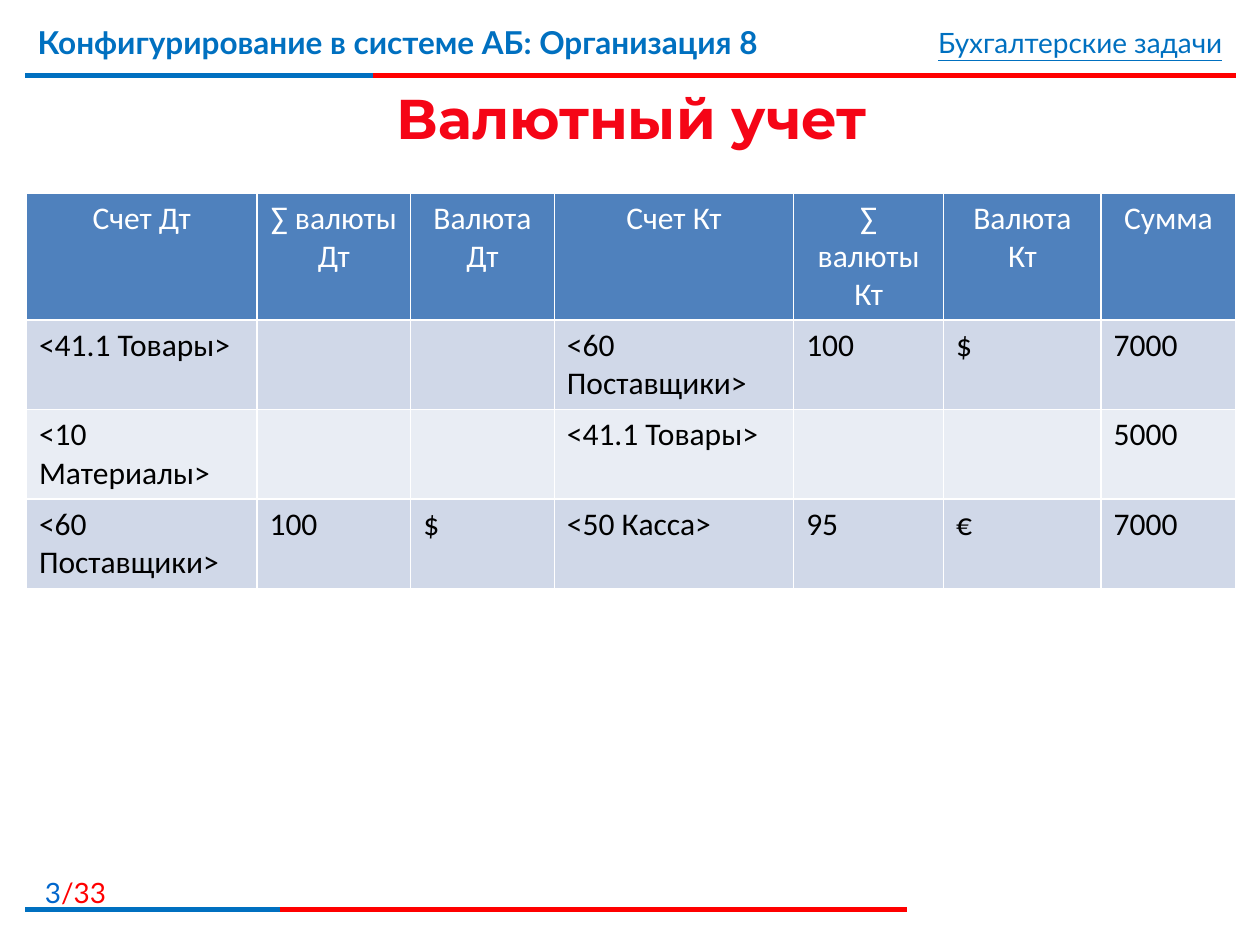
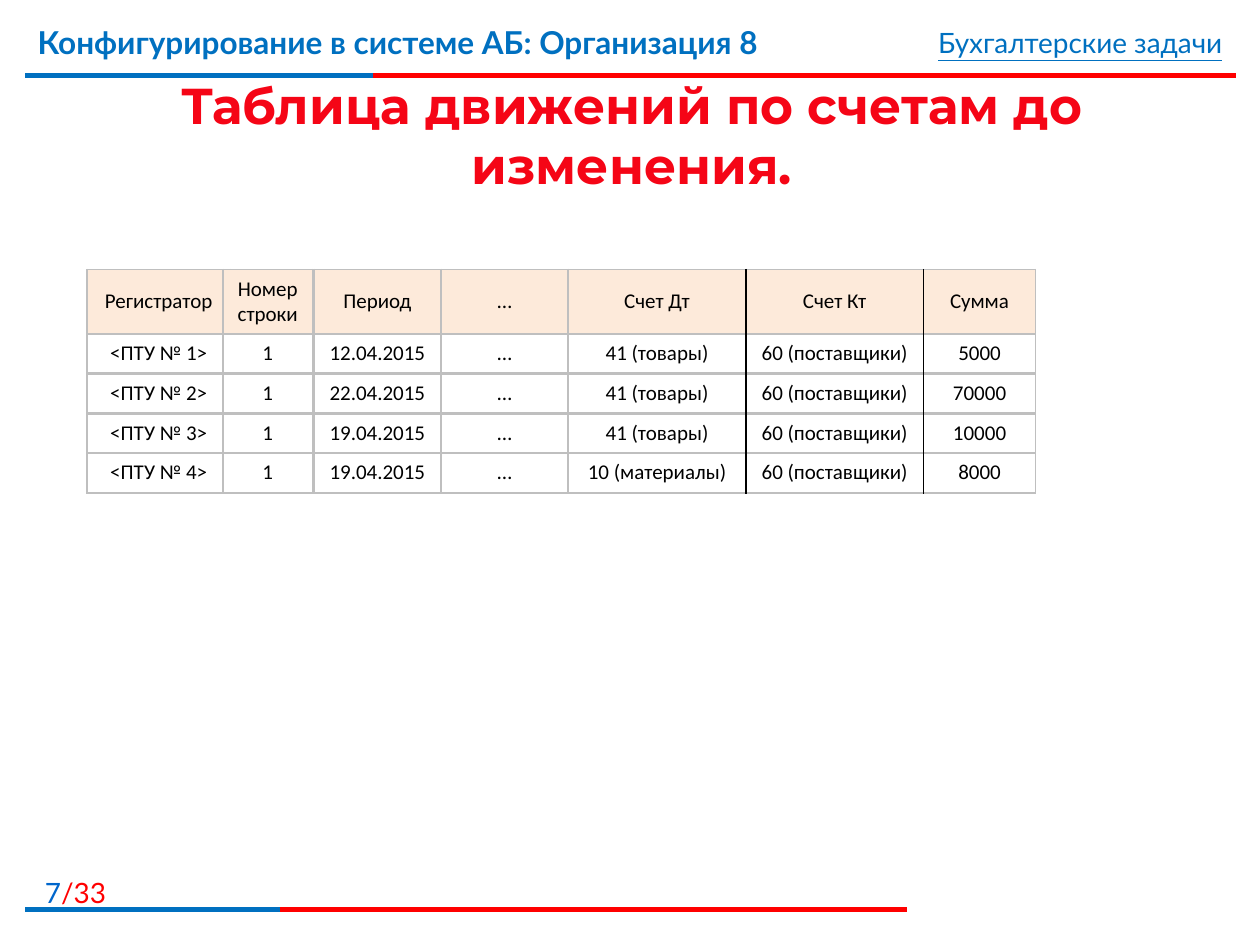
from lxml import etree
from pptx import Presentation
from pptx.dml.color import RGBColor
from pptx.enum import shapes, text
from pptx.oxml import ns
from pptx.util import Inches, Pt

BLUE = RGBColor(0x00, 0x70, 0xC0)
NUMBER_BLUE = RGBColor(0x00, 0x66, 0xCC)
RED = RGBColor(0xFF, 0x00, 0x00)
TITLE_RED = RGBColor(0xF5, 0x05, 0x16)
TITLE_DARK_RED = RGBColor(0xC0, 0x00, 0x00)
WHITE = RGBColor(0xFF, 0xFF, 0xFF)
BLACK = RGBColor(0x00, 0x00, 0x00)
GRAY = RGBColor(0xBF, 0xBF, 0xBF)
HEADER_BLUE = RGBColor(0x4F, 0x81, 0xBD)
BAND_DARK = RGBColor(0xD0, 0xD8, 0xE8)
BAND_LIGHT = RGBColor(0xE9, 0xED, 0xF4)
HEADER_PEACH = RGBColor(0xFD, 0xEA, 0xDA)

CENTER, LEFT, RIGHT = text.PP_ALIGN.CENTER, text.PP_ALIGN.LEFT, text.PP_ALIGN.RIGHT
MIDDLE, TOP = text.MSO_ANCHOR.MIDDLE, text.MSO_ANCHOR.TOP
COURSE = "Конфигурирование в системе АБ: Организация 8"
TOPIC = "Бухгалтерские задачи"
PAGE_COUNT = 33

CURRENCY_COLUMNS = [1.83, 1.22, 1.14, 1.9, 1.19, 1.25, 1.07]
CURRENCY_HEADER = ["Счет Дт", "∑ валюты Дт", "Валюта Дт", "Счет Кт",
                   "∑ валюты Кт", "Валюта Кт", "Сумма"]
CURRENCY_ENTRIES = [
    ["<41.1 Товары>", "", "", "<60 Поставщики>", "100", "$", "7000"],
    ["<10 Материалы>", "", "", "<41.1 Товары>", "", "", "5000"],
    ["<60 Поставщики>", "100", "$", "<50 Касса>", "95", "€", "7000"],
]

MOVEMENT_STRIPS = [(0, [1.14]), (1.08, [0.71]), (1.8, [1.01]), (2.81, [1.01]),
                   (3.82, [1.41, 1.41, 0.89])]
MOVEMENT_HEADER = ["Регистратор", "Номер строки", "Период", "…",
                   "Счет Дт", "Счет Кт", "Сумма"]
MOVEMENTS = [
    ("12.04.2015", "41 (товары)", "5000"),
    ("22.04.2015", "41 (товары)", "70000"),
    ("19.04.2015", "41 (товары)", "10000"),
    ("19.04.2015", "10 (материалы)", "8000"),
]


def add_run(paragraph, content, size, font, color, bold=False, underline=False):
    run = paragraph.add_run()
    run.text = content
    run.font.size = Pt(size)
    run.font.name = font
    run.font.color.rgb = color
    run.font.bold = bold
    run.font.underline = underline


def add_text_box(slide, box, align=LEFT):
    shape = slide.shapes.add_textbox(*map(Inches, box))
    shape.text_frame.word_wrap = True
    paragraph = shape.text_frame.paragraphs[0]
    paragraph.alignment = align
    return paragraph


def add_two_color_rule(slide, left, top, width, blue_width):
    for length, color in ((width, RED), (blue_width, BLUE)):
        line = slide.shapes.add_connector(
            shapes.MSO_CONNECTOR.STRAIGHT,
            *map(Inches, (left, top, left + length, top)))
        line.line.color.rgb = color
        line.line.width = Pt(3)
        etree.SubElement(line._element.spPr, ns.qn("a:effectLst"))


def add_header(slide):
    add_two_color_rule(slide, 0.2, 0.6, 9.61, 2.76)
    course = add_text_box(slide, (0.2, 0.13, 7.4, 0.62))
    add_run(course, COURSE, 18, "Lato", BLUE, bold=True)
    topic = add_text_box(slide, (5.94, 0.15, 3.86, 0.37), RIGHT)
    add_run(topic, TOPIC, 16, "Lato", BLUE, underline=True)


def add_footer(slide, page):
    number = add_text_box(slide, (0, 6.9, 0.94, 0.32), RIGHT)
    add_run(number, str(page), 16, "Lato", NUMBER_BLUE)
    add_run(number, f"/{PAGE_COUNT}", 16, "Lato", RED)
    add_two_color_rule(slide, 0.2, 7.22, 7, 2.02)


def set_title(slide, content, height, size):
    title = slide.shapes.title
    title.left, title.top, title.width, title.height = map(
        Inches, (0.21, 0.63, 9.61, height))
    frame = title.text_frame
    frame.word_wrap = True
    frame.auto_size = text.MSO_AUTO_SIZE.NONE
    frame.vertical_anchor = MIDDLE
    paragraph = frame.paragraphs[0]
    paragraph.alignment = CENTER
    add_run(paragraph, content, size, "Montserrat", TITLE_RED, bold=True)
    fill = paragraph.runs[0].font.fill
    fill.gradient()
    fill.gradient_angle = 270
    stops = ((0.55, TITLE_RED), (0.86, TITLE_DARK_RED))
    for stop, (position, color) in zip(fill.gradient_stops, stops):
        stop.position = position
        stop.color.rgb = color


def set_borders(cell, colors):
    properties = cell._tc.get_or_add_tcPr()
    for side, color in zip("LRTB", colors):
        border = etree.SubElement(properties, ns.qn(f"a:ln{side}"), w=str(Pt(1)))
        fill = etree.SubElement(border, ns.qn("a:solidFill"))
        etree.SubElement(fill, ns.qn("a:srgbClr"), val=str(color))


def add_plain_table(slide, left, top, columns, rows):
    frame = slide.shapes.add_table(
        len(rows), len(columns),
        *map(Inches, (left, top, sum(columns), sum(rows))))
    table = frame.table
    table.first_row = table.horz_banding = False
    for column, width in zip(table.columns, columns):
        column.width = Inches(width)
    for row, height in zip(table.rows, rows):
        row.height = Inches(height)
    return table


def fill_cell(cell, content, size, color, background, borders, align, anchor=TOP):
    set_borders(cell, borders)
    cell.fill.solid()
    cell.fill.fore_color.rgb = background
    cell.vertical_anchor = anchor
    paragraph = cell.text_frame.paragraphs[0]
    paragraph.alignment = align
    if content:
        add_run(paragraph, content, size, "Calibri", color)


def add_currency_table(slide, left, top):
    table = add_plain_table(slide, left, top, CURRENCY_COLUMNS,
                            [1.01] + [0.71] * len(CURRENCY_ENTRIES))
    for row, entry in enumerate([CURRENCY_HEADER] + CURRENCY_ENTRIES):
        if row == 0:
            color, background, align = WHITE, HEADER_BLUE, CENTER
        else:
            color, align = BLACK, LEFT
            background = BAND_DARK if row % 2 else BAND_LIGHT
        for column, content in enumerate(entry):
            fill_cell(table.cell(row, column), content, 18, color, background,
                      [WHITE] * 4, align)


def add_movement_row(slide, left, top, height, contents, background, anchor):
    remaining = iter(contents)
    for offset, columns in MOVEMENT_STRIPS:
        table = add_plain_table(slide, left + offset, top, columns, [height])
        last = len(columns) - 1
        for column in range(len(columns)):
            borders = [BLACK if column > 0 else GRAY,
                       BLACK if column < last else GRAY, GRAY, GRAY]
            fill_cell(table.cell(0, column), next(remaining), 12, BLACK,
                      background, borders, CENTER, anchor)


def add_movement_tables(slide, left, top):
    header_height, row_height, row_step = 0.51, 0.31, 0.317
    add_movement_row(slide, left, top, header_height, MOVEMENT_HEADER,
                     HEADER_PEACH, MIDDLE)
    for index, (date, debit, amount) in enumerate(MOVEMENTS):
        contents = [f"<ПТУ № {index + 1}>", "1", date, "…", debit,
                    "60 (поставщики)", amount]
        add_movement_row(slide, left, top + header_height + index * row_step,
                         row_height, contents, WHITE, TOP)


def add_slide(presentation, page, title, title_height, title_size):
    slide = presentation.slides.add_slide(presentation.slide_layouts[5])
    add_header(slide)
    add_footer(slide, page)
    set_title(slide, title, title_height, title_size)
    return slide


def main():
    presentation = Presentation()
    presentation.slide_width, presentation.slide_height = Inches(10), Inches(7.5)
    currency = add_slide(presentation, 3, "Валютный учет", 0.6, 32)
    add_currency_table(currency, 0.21, 1.53)
    movements = add_slide(
        presentation, 7, "Таблица движений по счетам до изменения.", 0.87, 28.8)
    add_movement_tables(movements, 0.69, 2.14)
    presentation.save("out.pptx")


if __name__ == "__main__":
    main()
